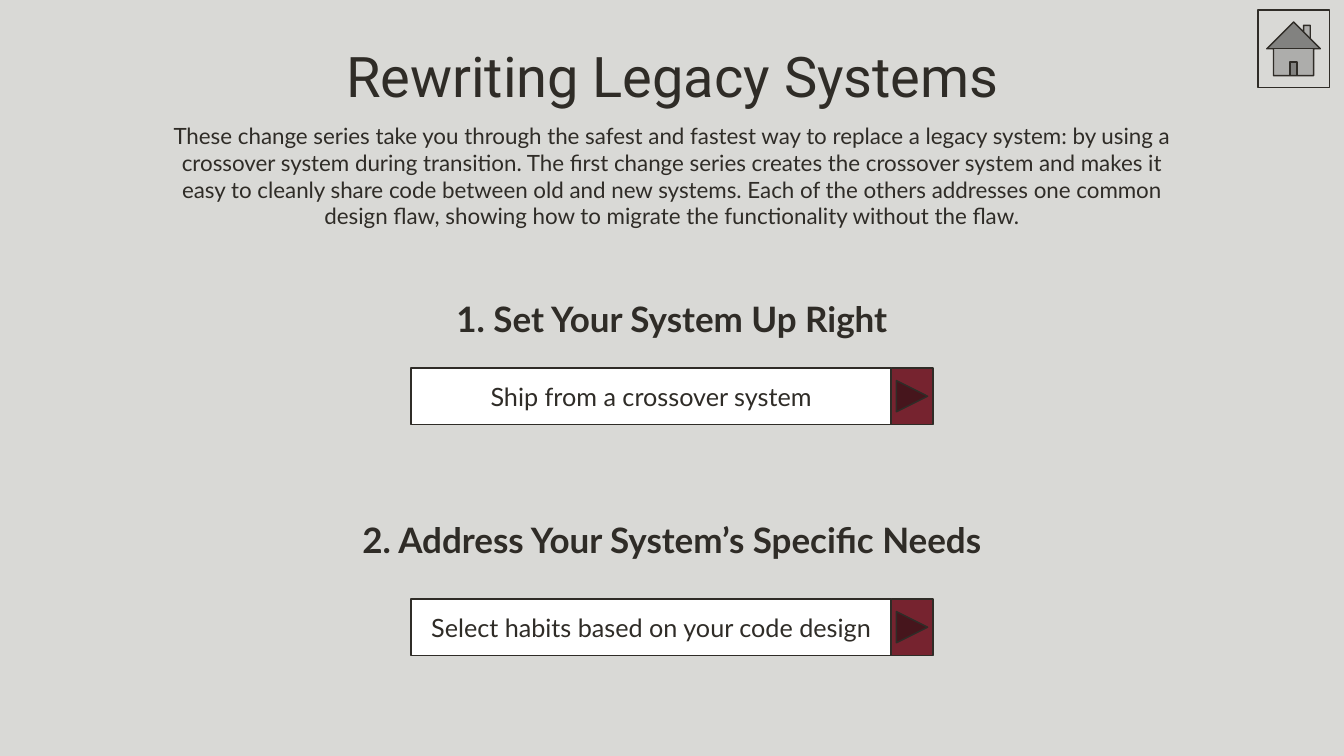
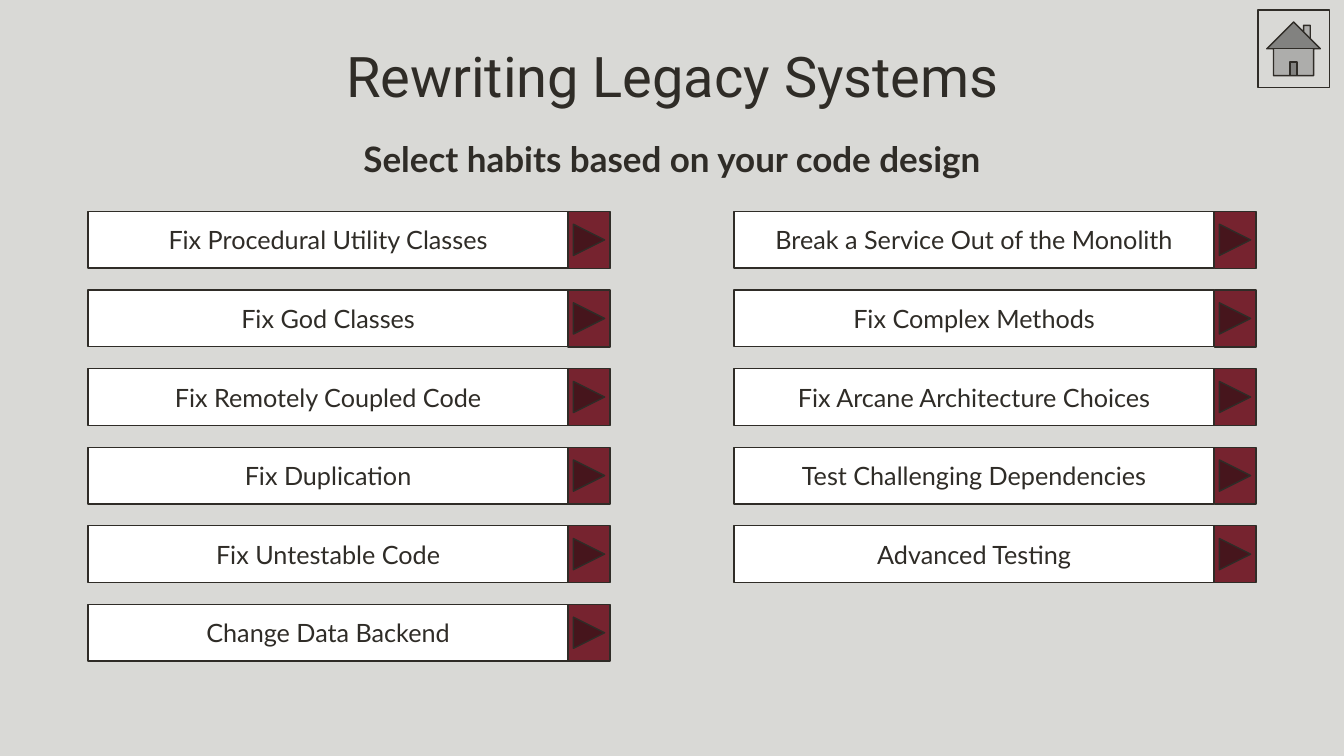
from dataclasses import dataclass

from pptx import Presentation
from pptx.dml.color import RGBColor
from pptx.enum.shapes import MSO_SHAPE
from pptx.enum.text import MSO_ANCHOR, MSO_AUTO_SIZE, PP_ALIGN
from pptx.util import Cm, Pt

RECTANGLE = MSO_SHAPE.RECTANGLE
FORWARD = MSO_SHAPE.ACTION_BUTTON_FORWARD_OR_NEXT
HOME = MSO_SHAPE.ACTION_BUTTON_HOME
TOP = MSO_ANCHOR.TOP
MIDDLE = MSO_ANCHOR.MIDDLE
CENTER = PP_ALIGN.CENTER
NO_AUTO_SIZE = MSO_AUTO_SIZE.NONE
TITLE_ONLY = 5

INK = "2F2C27"
PAPER = "D9D9D6"
WHITE = "FFFFFF"
MAROON = "76232F"
TITLE_FONT = "Roboto"
BODY_FONT = "Lato"

SLIDE_WIDTH = 33.87
SLIDE_HEIGHT = 19.05
LABEL_WIDTH = 12.1
ARROW_WIDTH = 1.05
BUTTON_WIDTH = LABEL_WIDTH + ARROW_WIDTH
BUTTON_HEIGHT = 1.43
BUTTON_CENTER_LEFT = (SLIDE_WIDTH - BUTTON_WIDTH) / 2
GRID_MARGIN = 2.22
GRID_TOP = 5.33
GRID_PITCH = 1.98
COLUMN_LEFTS = (GRID_MARGIN, SLIDE_WIDTH - GRID_MARGIN - BUTTON_WIDTH)

TITLE = "Rewriting Legacy Systems"
SELECT_HABITS = "Select habits based on your code design"
INTRODUCTION = (
    "These change series take you through the safest and fastest way to replace a legacy "
    "system: by using a crossover system during transition. The first change series creates "
    "the crossover system and makes it easy to cleanly share code between old and new systems. "
    "Each of the others addresses one common design flaw, showing how to migrate the "
    "functionality without the flaw."
)


@dataclass(frozen=True)
class Box:
    left: float
    top: float
    width: float
    height: float

    def lengths(self) -> tuple:
        return Cm(self.left), Cm(self.top), Cm(self.width), Cm(self.height)


@dataclass(frozen=True)
class Step:
    heading: str
    heading_top: float
    button: str
    button_top: float


STEPS = (
    Step("1. Set Your System Up Right", 7.37, "Ship from a crossover system", 9.27),
    Step("2. Address Your System’s Specific Needs", 12.95, SELECT_HABITS, 15.09),
)
HABIT_COLUMNS = (
    (
        "Fix Procedural Utility Classes",
        "Fix God Classes",
        "Fix Remotely Coupled Code",
        "Fix Duplication",
        "Fix Untestable Code",
        "Change Data Backend",
    ),
    (
        "Break a Service Out of the Monolith",
        "Fix Complex Methods",
        "Fix Arcane Architecture Choices",
        "Test Challenging Dependencies",
        "Advanced Testing",
    ),
)


def color(value: str) -> RGBColor:
    return RGBColor.from_string(value)


def write_text(shape, text: str, *, size: float, font: str = BODY_FONT,
               bold: bool = False, anchor=TOP) -> None:
    frame = shape.text_frame
    frame.word_wrap = True
    frame.auto_size = NO_AUTO_SIZE
    frame.vertical_anchor = anchor
    frame.text = text
    paragraph = frame.paragraphs[0]
    paragraph.alignment = CENTER
    paragraph.font.size = Pt(size)
    paragraph.font.name = font
    paragraph.font.bold = bold
    paragraph.font.color.rgb = color(INK)


def add_text(slide, box: Box, text: str, *, size: float, bold: bool = False) -> None:
    write_text(slide.shapes.add_textbox(*box.lengths()), text, size=size, bold=bold)


def add_heading(slide, top: float, text: str) -> None:
    add_text(slide, Box(8.08, top, 17.7, 1.32), text, size=25, bold=True)


def add_outlined_shape(shapes, kind, box: Box, fill: str):
    shape = shapes.add_shape(kind, *box.lengths())
    shape.shadow.inherit = False
    shape.fill.solid()
    shape.fill.fore_color.rgb = color(fill)
    shape.line.color.rgb = color(INK)
    shape.line.width = Pt(1)
    return shape


def add_button(slide, left: float, top: float, text: str) -> None:
    shapes = slide.shapes.add_group_shape().shapes
    label_box = Box(left, top, LABEL_WIDTH, BUTTON_HEIGHT)
    arrow_box = Box(left + LABEL_WIDTH, top, ARROW_WIDTH, BUTTON_HEIGHT)
    label = add_outlined_shape(shapes, RECTANGLE, label_box, WHITE)
    write_text(label, text, size=18, anchor=MIDDLE)
    add_outlined_shape(shapes, FORWARD, arrow_box, MAROON)


def add_titled_slide(presentation):
    slide = presentation.slides.add_slide(presentation.slide_layouts[TITLE_ONLY])
    title = slide.shapes.title
    title.left, title.top, title.width, title.height = Box(5.77, 0.91, 22.35, 1.96).lengths()
    write_text(title, TITLE, size=40, font=TITLE_FONT)
    add_outlined_shape(slide.shapes, HOME, Box(31.7, 0.25, 1.8, 1.96), PAPER)
    return slide


def build_overview(presentation) -> None:
    slide = add_titled_slide(presentation)
    add_text(slide, Box(3.94, 2.95, 26, 3), INTRODUCTION, size=16)
    for step in STEPS:
        add_heading(slide, step.heading_top, step.heading)
        add_button(slide, BUTTON_CENTER_LEFT, step.button_top, step.button)


def build_habits(presentation) -> None:
    slide = add_titled_slide(presentation)
    add_heading(slide, 3.35, SELECT_HABITS)
    for left, habits in zip(COLUMN_LEFTS, HABIT_COLUMNS):
        for row, habit in enumerate(habits):
            add_button(slide, left, GRID_TOP + row * GRID_PITCH, habit)


def main() -> None:
    presentation = Presentation()
    presentation.slide_width = Cm(SLIDE_WIDTH)
    presentation.slide_height = Cm(SLIDE_HEIGHT)
    background = presentation.slide_master.background.fill
    background.solid()
    background.fore_color.rgb = color(PAPER)
    build_overview(presentation)
    build_habits(presentation)
    presentation.save("out.pptx")


if __name__ == "__main__":
    main()
